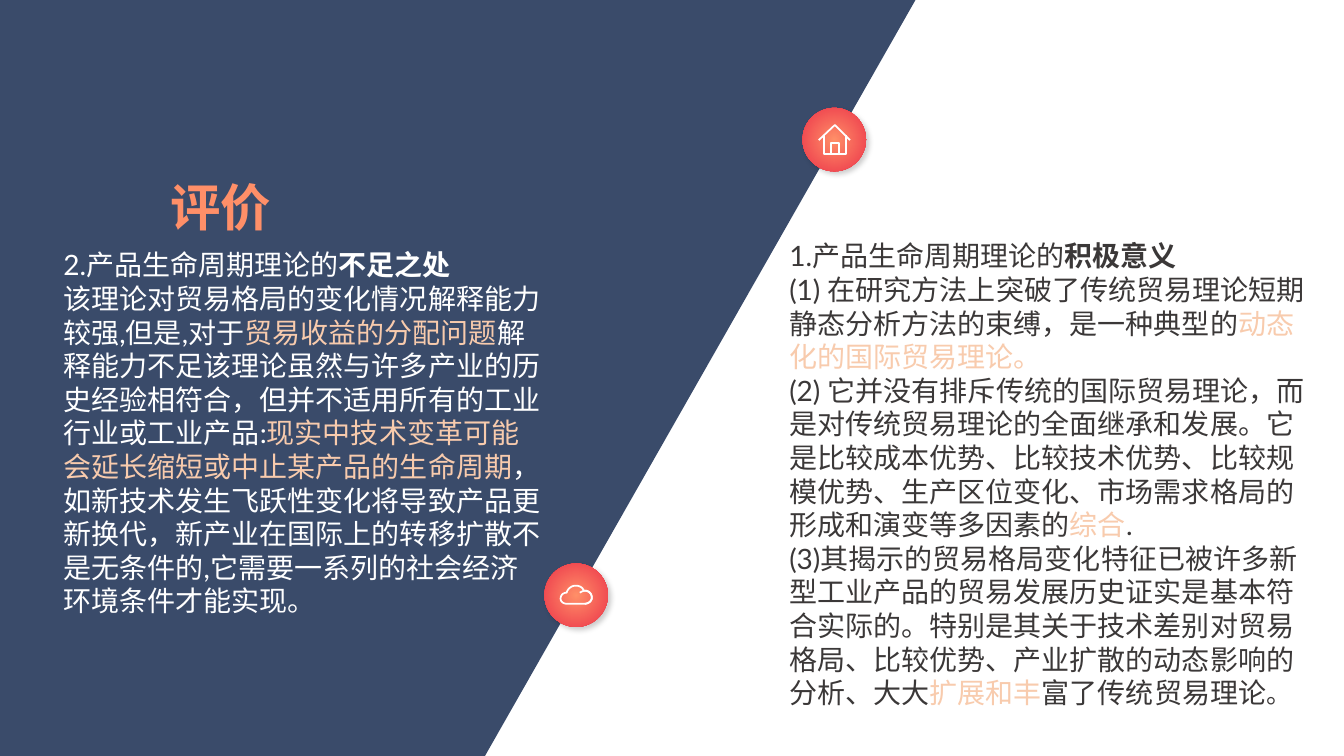
from lxml import etree
from pptx import Presentation
from pptx import util as u
from pptx.dml.color import RGBColor
from pptx.enum import shapes, text
from pptx.oxml.ns import qn

NAVY = RGBColor(0x3A, 0x4B, 0x6A)
CORAL = RGBColor(0xFF, 0x8F, 0x68)
PEACH = RGBColor(0xF8, 0xCB, 0xAD)
DARK = RGBColor(0x3B, 0x38, 0x38)
WHITE = RGBColor(0xFF, 0xFF, 0xFF)
FONT = "Lato"
A = "http://schemas.openxmlformats.org/drawingml/2006/main"

# Content: each paragraph is a list of (words, style)
TITLE = [[("评价", "title")]]
MERITS = [
    [("1.产品生命周期理论的", ""), ("积极意义", "bold")],
    [("(1) 在研究方法上突破了传统贸易理论短期静态分析方法的束缚，是一种典型的", ""),
     ("动态化的国际贸易理论。", "accent")],
    [("(2) 它并没有排斥传统的国际贸易理论，而是对传统贸易理论的全面继承和发展。"
      "它是比较成本优势、比较技术优势、比较规模优势、生产区位变化、"
      "市场需求格局的形成和演变等多因素的", ""), ("综合", "accent"), (".", "")],
    [("(3)其揭示的贸易格局变化特征已被许多新型工业产品的贸易发展历史证实是基本符合实际的。"
      "特别是其关于技术差别对贸易格局、比较优势、产业扩散的动态影响的分析、大大", ""),
     ("扩展和丰", "accent"), ("富了传统贸易理论", ""), ("。", "small")],
]
LIMITS = [
    [("2.产品生命周期理论的", ""), ("不足之处", "bold")],
    [("该理论对贸易格局的变化情况解释能力较强,但是,对于", ""),
     ("贸易收益的分配问题", "accent"),
     ("解释能力不足该理论虽然与许多产业的历史经验相符合，"
      "但并不适用所有的工业行业或工业产品:", ""),
     ("现实中技术变革可能会延长缩短或中止某产品的生命周期", "accent"),
     ("，如新技术发生飞跃性变化将导致产品更新换代，新产业在国际上的转移扩散不是无条件的,"
      "它需要一系列的社会经济环境条件才能实现。", "")],
]
# left, top, width, height, size, colour, wrap, paragraphs
TEXTS = [
    (1.59, 1.7, 1.21, 0.71, 36, CORAL, False, TITLE),
    (7.73, 2.32, 5.4, 4.81, 20, DARK, True, MERITS),
    (0.53, 2.41, 4.95, 3.8, 20, WHITE, True, LIMITS),
]

# Icon outlines
PANEL = [(0, 0), (9.08, 0), (4.81, 7.5), (0, 7.5)]
HOUSE_WALLS = [(8.39, 1.34), (8.39, 1.53), (8.17, 1.53), (8.17, 1.34)]
HOUSE_ROOF = [(8.12, 1.39), (8.28, 1.24), (8.43, 1.39)]
HOUSE_DOOR = [(8.24, 1.42), (8.32, 1.42), (8.32, 1.53), (8.24, 1.53)]
# A start point, then two handles and an end point per curve
CLOUD = [(5.62, 5.88), (5.63, 5.84), (5.67, 5.81), (5.71, 5.81),
         (5.75, 5.81), (5.78, 5.83), (5.79, 5.86),
         (5.8, 5.86), (5.8, 5.86), (5.8, 5.86),
         (5.84, 5.86), (5.87, 5.89), (5.87, 5.93),
         (5.87, 5.96), (5.84, 5.99), (5.8, 5.99),
         (5.62, 5.99), (5.62, 5.99), (5.62, 5.99),
         (5.59, 5.99), (5.56, 5.97), (5.56, 5.94),
         (5.56, 5.9), (5.59, 5.88), (5.62, 5.88)]
CLOUD_FOLD = [(5.8, 5.99), (5.84, 5.99), (5.87, 5.96), (5.87, 5.93),
              (5.87, 5.89), (5.84, 5.86), (5.8, 5.86),
              (5.79, 5.86), (5.77, 5.87), (5.75, 5.88)]
BADGE = 0.63

BADGE_FILL = f"""<a:gradFill xmlns:a="{A}" rotWithShape="1"><a:gsLst>
<a:gs pos="0"><a:srgbClr val="FF8F68"/></a:gs>
<a:gs pos="97000"><a:srgbClr val="EC354A"/></a:gs></a:gsLst>
<a:path path="circle"><a:fillToRect l="50000" t="50000" r="50000" b="50000"/></a:path>
</a:gradFill>"""
BADGE_SHADOW = f"""<a:effectLst xmlns:a="{A}">
<a:outerShdw blurRad="50800" dist="38100" dir="2700000" algn="tl" rotWithShape="0">
<a:srgbClr val="000000"><a:alpha val="20000"/></a:srgbClr></a:outerShdw></a:effectLst>"""
ACCENT_LINE = f"""<a:ln xmlns:a="{A}" w="22225"><a:solidFill>
<a:srgbClr val="ED7D31"/></a:solidFill></a:ln>"""


def curve(points, steps=8):
    """Turn cubic curves into a fine chain of points."""
    chain = [points[0]]
    for i in range(0, len(points) - 1, 3):
        ends = points[i:i + 4]
        for step in range(1, steps + 1):
            t = step / steps
            weights = ((1 - t) ** 3, 3 * t * (1 - t) ** 2, 3 * t * t * (1 - t), t ** 3)
            chain.append(tuple(sum(w * p[axis] for w, p in zip(weights, ends))
                               for axis in (0, 1)))
    return chain


def add_outline(parent, points, close=False, fill=None):
    spots = [(u.Inches(x), u.Inches(y)) for x, y in points]
    builder = parent.build_freeform(*spots[0], scale=1.0)
    builder.add_line_segments(spots[1:], close=close)
    shape = builder.convert_to_shape()
    shape.shadow.inherit = False
    if fill is not None:
        shape.fill.solid()
        shape.fill.fore_color.rgb = fill
        shape.line.fill.background()
    else:
        shape.fill.background()
        shape.line.color.rgb = WHITE
        shape.line.width = u.Pt(1.25)


def add_badge(page, left, top, icon):
    group = page.shapes.add_group_shape()
    disc = group.shapes.add_shape(shapes.MSO_SHAPE.OVAL, u.Inches(left), u.Inches(top),
                                  u.Inches(BADGE), u.Inches(BADGE))
    disc.line.fill.background()
    props = disc._element.spPr
    props.find(qn("a:prstGeom")).addnext(etree.fromstring(BADGE_FILL))
    props.append(etree.fromstring(BADGE_SHADOW))
    for points, close in icon:
        add_outline(group.shapes, points, close)


def add_text(page, left, top, width, height, size, colour, wrap, paragraphs):
    box = page.shapes.add_textbox(*map(u.Inches, (left, top, width, height)))
    frame = box.text_frame
    frame.word_wrap = wrap
    frame.auto_size = text.MSO_AUTO_SIZE.SHAPE_TO_FIT_TEXT
    for i, runs in enumerate(paragraphs):
        para = frame.paragraphs[0] if i == 0 else frame.add_paragraph()
        para.font.name = FONT
        para.font.size = u.Pt(size)
        for words, style in runs:
            span = para.add_run()
            span.text = words
            span.font.color.rgb = PEACH if style == "accent" else colour
            if style in ("bold", "title"):
                span.font.bold = True
            if style == "small":
                span.font.size = u.Pt(18)
            props = span._r.get_or_add_rPr()
            etree.SubElement(props, qn("a:ea"), typeface=FONT)
            if style == "accent":
                props.insert(0, etree.fromstring(ACCENT_LINE))


def main():
    deck = Presentation()
    deck.slide_width, deck.slide_height = u.Inches(13.33), u.Inches(7.5)
    page = deck.slides.add_slide(deck.slide_layouts[6])

    # Slanted panel and text
    add_outline(page.shapes, PANEL, close=True, fill=NAVY)
    for item in TEXTS:
        add_text(page, *item)

    # Badges on the slanted edge
    add_badge(page, 7.96, 1.07,
              [(HOUSE_WALLS, False), (HOUSE_ROOF, False), (HOUSE_DOOR, True)])
    add_badge(page, 5.4, 5.59, [(curve(CLOUD), True), (curve(CLOUD_FOLD), False)])
    deck.save("out.pptx")


if __name__ == "__main__":
    main()
